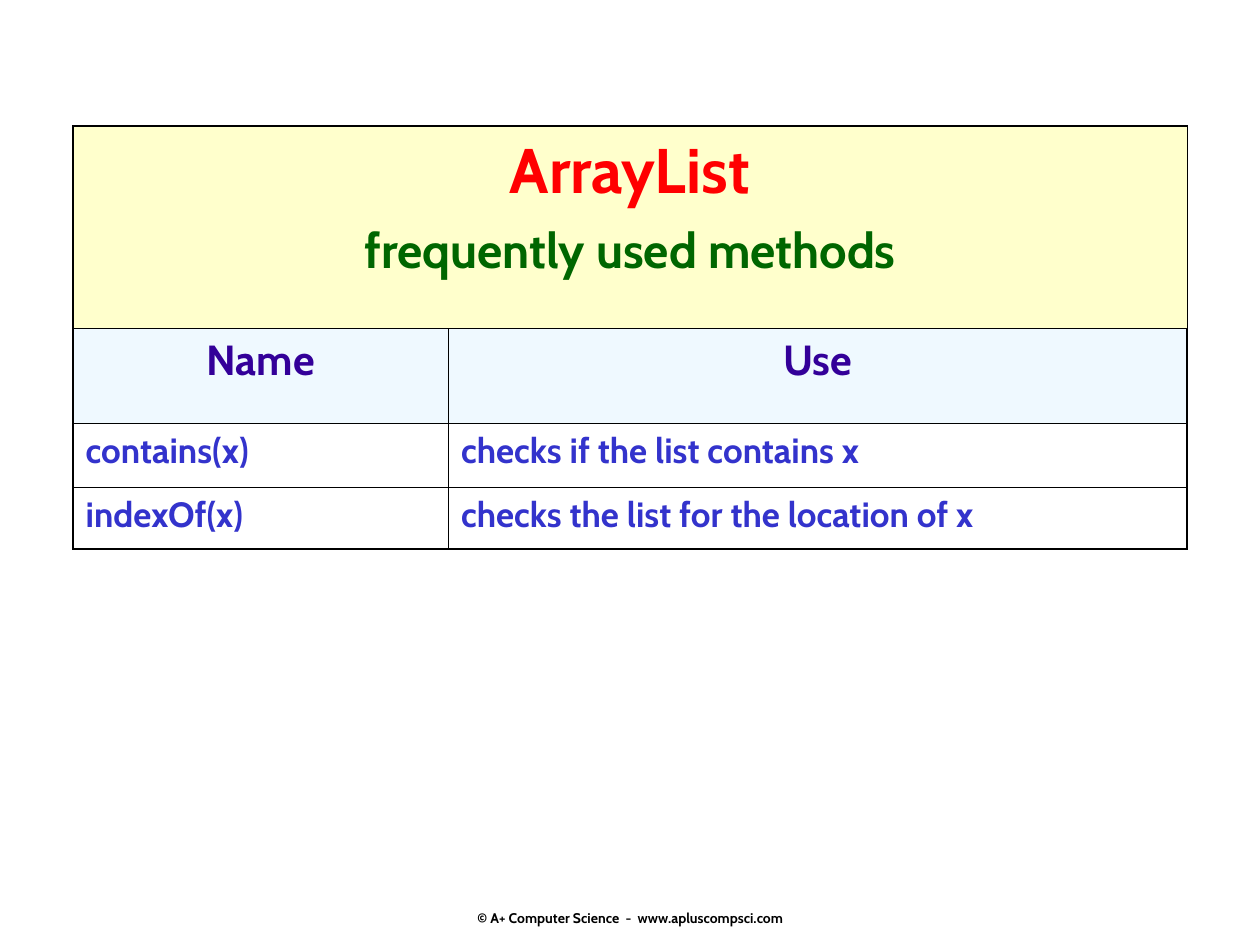
import lxml.etree
import pptx
import pptx.dml.color
import pptx.enum.text
import pptx.oxml.ns
import pptx.util
from dataclasses import dataclass
from pptx.util import Inches


@dataclass(frozen=True)
class Theme:
    font: str = "Cabin"
    black: str = "000000"
    red: str = "FF0000"
    green: str = "006600"
    purple: str = "330099"
    blue: str = "3333CC"
    title_fill: str = "FFFFCC"
    header_fill: str = "E1F4FF"
    title_size: int = 36
    subtitle_size: int = 28
    header_size: int = 24
    body_size: int = 20
    footer_size: int = 8
    outer_line: float = 1.08
    inner_line: float = 0.45


theme = Theme()
CENTER = pptx.enum.text.PP_ALIGN.CENTER
LEFT = pptx.enum.text.PP_ALIGN.LEFT


def write_paragraph(paragraph, text, size, color, alignment):
    paragraph.text = text
    paragraph.alignment = alignment
    paragraph.font.name = theme.font
    paragraph.font.size = pptx.util.Pt(size)
    paragraph.font.bold = True
    paragraph.font.color.rgb = pptx.dml.color.RGBColor.from_string(color)


def add_border(cell, side, width):
    properties = cell._tc.get_or_add_tcPr()
    line = lxml.etree.SubElement(properties, pptx.oxml.ns.qn(f"a:ln{side}"),
                                 w=str(pptx.util.Pt(width)))
    fill = lxml.etree.SubElement(line, pptx.oxml.ns.qn("a:solidFill"))
    lxml.etree.SubElement(fill, pptx.oxml.ns.qn("a:srgbClr"), val=theme.black)


presentation = pptx.Presentation()
presentation.slide_width = Inches(10)
presentation.slide_height = Inches(7.5)
slide = presentation.slides.add_slide(presentation.slide_layouts[6])

# Footer
footer = slide.shapes.add_textbox(Inches(3.42), Inches(6.83), Inches(3.17), Inches(0.52))
footer.text_frame.word_wrap = False
footer.text_frame.vertical_anchor = pptx.enum.text.MSO_ANCHOR.BOTTOM
footer.text_frame.margin_bottom = 0
write_paragraph(footer.text_frame.paragraphs[0],
                "© A+ Computer Science  -  www.apluscompsci.com",
                theme.footer_size, theme.black, CENTER)

# Table grid
column_widths = [2.98, 5.86]
row_heights = [1.61, 0.75, 0.51, 0.49]
last_row, last_column = len(row_heights) - 1, len(column_widths) - 1
table = slide.shapes.add_table(
    len(row_heights), len(column_widths), Inches(0.58), Inches(1),
    Inches(sum(column_widths)), Inches(sum(row_heights))).table
table.first_row = False
table.horz_banding = False
for column, width in zip(table.columns, column_widths):
    column.width = Inches(width)
for row, height in zip(table.rows, row_heights):
    row.height = Inches(height)

# Borders: heavier around the outside, thin between cells
for row_index, row in enumerate(table.rows):
    for column_index, cell in enumerate(row.cells):
        outside = {"L": column_index == 0, "R": column_index == last_column,
                   "T": row_index == 0, "B": row_index == last_row}
        for side, is_outer in outside.items():
            add_border(cell, side, theme.outer_line if is_outer else theme.inner_line)
        cell.fill.background()

# Title row
title = table.cell(0, 0)
title.merge(table.cell(0, last_column))
title.fill.solid()
title.fill.fore_color.rgb = pptx.dml.color.RGBColor.from_string(theme.title_fill)
write_paragraph(title.text_frame.paragraphs[0], "ArrayList",
                theme.title_size, theme.red, CENTER)
subtitle = title.text_frame.add_paragraph()
write_paragraph(subtitle, "frequently used methods",
                theme.subtitle_size, theme.green, CENTER)
subtitle.space_before = pptx.util.Pt(7)

# Column headings on a half-transparent fill
for column_index, heading in enumerate(["Name", "Use"]):
    cell = table.cell(1, column_index)
    cell.fill.solid()
    cell.fill.fore_color.rgb = pptx.dml.color.RGBColor.from_string(theme.header_fill)
    fill_color = cell._tc.tcPr.find(pptx.oxml.ns.qn("a:solidFill"))[0]
    lxml.etree.SubElement(fill_color, pptx.oxml.ns.qn("a:alpha"), val="50000")
    write_paragraph(cell.text_frame.paragraphs[0], heading,
                    theme.header_size, theme.purple, CENTER)

# Methods
methods = [
    ("contains(x)", "checks if the list contains x"),
    ("indexOf(x)", "checks the list for the location of x"),
]
for row_index, method in enumerate(methods, start=2):
    for column_index, text in enumerate(method):
        write_paragraph(table.cell(row_index, column_index).text_frame.paragraphs[0],
                        text, theme.body_size, theme.blue, LEFT)

presentation.save("out.pptx")
